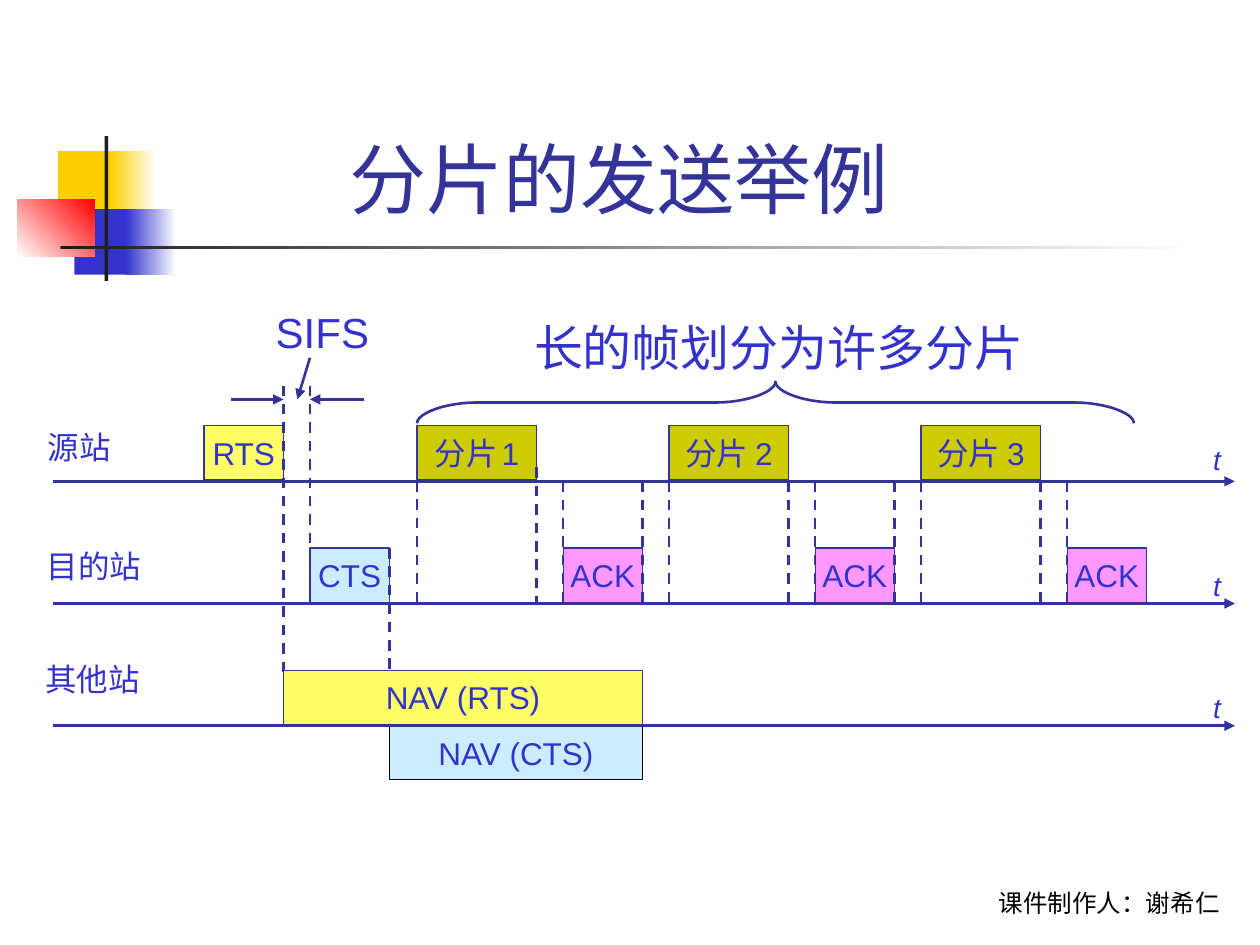
from lxml import etree
from pptx import Presentation
from pptx import util as u
from pptx.dml.color import RGBColor
from pptx.enum import dml, shapes, text
from pptx.oxml import ns

COLORS = {
    "gold": "FFCF01", "blue": "3333CC", "red": "FF0000", "white": "FFFFFF",
    "dark": "1C1C1C", "black": "000000", "navy": "333399",
    "yellow": "FFFF66", "sky": "CCECFF", "olive": "CCCC00", "pink": "FF99FF",
}
SOURCE, TARGET, OTHERS = 3.82, 4.79, 5.76   # heights of the time axes
FRAME_HEIGHT, FRAGMENT, SHORT = 0.43, 0.95, 0.63
FIRST, PERIOD = 3.31, 2.0                   # first fragment and repeat
ACK_OFFSET = 1.16
SIFS_START, SIFS_END, CTS_END = 2.25, 2.46, 3.09


def color(name):
    return RGBColor.from_string(COLORS[name])


def set_format(target, values):
    for name, value in values.items():
        setattr(target, name, value)


class Diagram:
    font = "Arial"
    line_width = 1.5
    align = {"left": text.PP_ALIGN.LEFT, "center": text.PP_ALIGN.CENTER,
             "right": text.PP_ALIGN.RIGHT}

    def __init__(self, slide):
        self.slide = slide

    def fill_text(self, frame, runs, align, frame_format, **font_format):
        """Fill a text frame with one paragraph of (text, size) runs."""
        set_format(frame, frame_format)
        paragraph = frame.paragraphs[0]
        paragraph.alignment = self.align[align]
        ink = font_format.pop("ink", "blue")
        for words, size in runs:
            run = paragraph.add_run()
            run.text = words
            set_format(run.font, {"name": self.font, "size": u.Pt(size),
                                  **font_format})
            run.font.color.rgb = color(ink)

    def label(self, box, words, size, align="left", fixed=False, **font_format):
        shape = self.slide.shapes.add_textbox(*map(u.Inches, box))
        frame_format = {
            "word_wrap": fixed,
            "auto_size": text.MSO_AUTO_SIZE.NONE if fixed
            else text.MSO_AUTO_SIZE.SHAPE_TO_FIT_TEXT,
            "vertical_anchor": text.MSO_ANCHOR.BOTTOM if fixed
            else text.MSO_ANCHOR.TOP,
        }
        self.fill_text(shape.text_frame, [(words, size)], align, frame_format,
                       **font_format)

    def rectangle(self, box, fill, end=None, angle=0):
        """Plain rectangle; a second colour makes a gradient."""
        shape = self.slide.shapes.add_shape(
            shapes.MSO_SHAPE.RECTANGLE, *map(u.Inches, box))
        shape.shadow.inherit = False
        shape.line.fill.background()
        if end:
            shape.fill.gradient()
            shape.fill.gradient_angle = angle
            for stop, name, position in zip(shape.fill.gradient_stops,
                                            (fill, end), (0, 1)):
                stop.color.rgb = color(name)
                stop.position = position
        else:
            shape.fill.solid()
            shape.fill.fore_color.rgb = color(fill)
        return shape

    def frame(self, left, top, width, fill, *runs, outline="navy"):
        shape = self.rectangle((left, top, width, FRAME_HEIGHT), fill)
        shape.line.color.rgb = color(outline)
        shape.line.width = u.Pt(0.75)
        self.fill_text(shape.text_frame, runs, "center", {
            "word_wrap": False, "vertical_anchor": text.MSO_ANCHOR.MIDDLE})

    def line(self, start, end, dashed=False, arrow=False):
        connector = self.slide.shapes.add_connector(
            shapes.MSO_CONNECTOR.STRAIGHT, *map(u.Inches, (*start, *end)))
        connector.line.color.rgb = color("navy")
        connector.line.width = u.Pt(self.line_width)
        if dashed:
            connector.line.dash_style = dml.MSO_LINE.DASH
        properties = connector._element.spPr
        if arrow:
            outline = properties.find(ns.qn("a:ln"))
            etree.SubElement(outline, ns.qn("a:tailEnd"), type="triangle")
        etree.SubElement(properties, ns.qn("a:effectLst"))

    def dash(self, x, top, bottom=TARGET):
        self.line((x, top), (x, bottom), dashed=True)

    def brace(self, left, right, top, bottom):
        """Brace with its tip up, made of four quarter curves."""
        middle, shoulder = (left + right) / 2, (top + bottom) / 2
        reach, steps = 0.47, 12

        def quarter(x, y, toward):
            # Runs from the vertical end (x, y) to the shoulder line
            points = []
            for step in range(steps + 1):
                t = step / steps
                across = 1.5 * t * t * (1 - t) + t ** 3
                rise = 1.5 * t * (1 - t) ** 2 + 3 * t * t * (1 - t) + t ** 3
                points.append((x + toward * reach * across,
                               y + (shoulder - y) * rise))
            return points

        points = (quarter(left, bottom, 1) + quarter(middle, top, -1)[::-1]
                  + quarter(middle, top, 1) + quarter(right, bottom, -1)[::-1])
        points = [(u.Inches(x), u.Inches(y)) for x, y in points]
        builder = self.slide.shapes.build_freeform(*points[0])
        builder.add_line_segments(points[1:], close=False)
        shape = builder.convert_to_shape()
        shape.shadow.inherit = False
        shape.fill.background()
        shape.line.color.rgb = color("navy")
        shape.line.width = u.Pt(self.line_width)


def main():
    presentation = Presentation()
    set_format(presentation, {"slide_width": u.Inches(10),
                              "slide_height": u.Inches(7.5)})
    diagram = Diagram(presentation.slides.add_slide(presentation.slide_layouts[6]))

    # Corner ornament and title rule
    for box, *fill in (
        ((0.46, 1.2, 0.48, 0.52), "gold"),
        ((0.88, 1.2, 0.36, 0.52), "gold", "white"),
        ((0.59, 1.66, 0.46, 0.52), "blue"),
        ((1, 1.66, 0.4, 0.52), "blue", "white"),
        ((0.14, 1.58, 0.61, 0.46), "white", "red", 45),
        ((0.83, 1.08, 0.03, 1.15), "dark"),
        ((0.48, 1.95, 9, 0.03), "dark", "white"),
    ):
        diagram.rectangle(box, *fill)

    # Footer and title
    diagram.label((7.7, 6.83, 2.08, 0.5), "课件制作人：谢希仁", 14, "right",
                  fixed=True, name="Karla", ink="black")
    diagram.label((1.26, 0.23, 7.44, 1.6), "分片的发送举例 ", 44, "center",
                  fixed=True, ink="navy")

    # Station and axis names
    for top in (3.46, 4.46, 5.43):
        diagram.label((9.53, top, 0.26, 0.37), "t", 16, italic=True)
    for left, top, width, name in ((0.28, 3.35, 0.7, "源站"),
                                   (0.27, 4.29, 0.95, "目的站"),
                                   (0.2, 5.19, 1.01, " 其他站")):
        diagram.label((left, top, width, 0.4), name, 18, "center")

    # RTS and CTS exchange
    source_top, target_top = SOURCE - 0.44, TARGET - 0.44
    diagram.frame(1.62, source_top, SHORT, "yellow", ("RTS", 18))
    diagram.frame(SIFS_END, target_top, SHORT, "sky", ("CTS", 18))

    # Fragments with their acknowledgements
    for index in range(3):
        start = FIRST + index * PERIOD
        runs = ([("分片", 18), (" ", 10), ("1", 18)] if index == 0
                else [(f"分片 {index + 1}", 18)])
        diagram.frame(start, source_top, FRAGMENT, "olive", *runs)
        diagram.frame(start + ACK_OFFSET, target_top, SHORT, "pink", ("ACK", 18))
        diagram.dash(start, SOURCE if index else source_top)
        diagram.dash(start + FRAGMENT, SOURCE if index else 3.71)
        diagram.dash(start + ACK_OFFSET, SOURCE)
        if index < 2:
            diagram.dash(start + ACK_OFFSET + SHORT, SOURCE)

    # SIFS marker
    diagram.dash(SIFS_START, 3.06, 5.33)
    diagram.dash(SIFS_END, 3.06)
    diagram.dash(CTS_END, target_top, 5.33)
    for start, end in (((1.83, 3.17), (SIFS_START, 3.17)),
                       ((2.89, 3.17), (SIFS_END, 3.17)),
                       ((2.46, 2.84), (2.36, 3.17))):
        diagram.line(start, end, arrow=True)
    diagram.label((2.09, 2.38, 0.94, 0.5), "SIFS", 24)

    # Reserved periods of the other stations
    nav_end = FIRST + ACK_OFFSET + SHORT
    diagram.frame(SIFS_START, OTHERS - 0.44, nav_end - SIFS_START, "yellow",
                  ("NAV (RTS)", 18))
    diagram.frame(CTS_END, OTHERS, nav_end - CTS_END, "sky", ("NAV (CTS)", 18),
                  outline="black")

    # Brace over the fragments
    diagram.brace(FIRST, 9, 3.03, 3.36)
    diagram.label((4.14, 2.47, 4.08, 0.57), "长的帧划分为许多分片", 28)

    # Time axes
    for y in (OTHERS, TARGET, SOURCE):
        diagram.line((0.42, y), (9.8, y), arrow=True)

    presentation.save("out.pptx")


if __name__ == "__main__":
    main()
